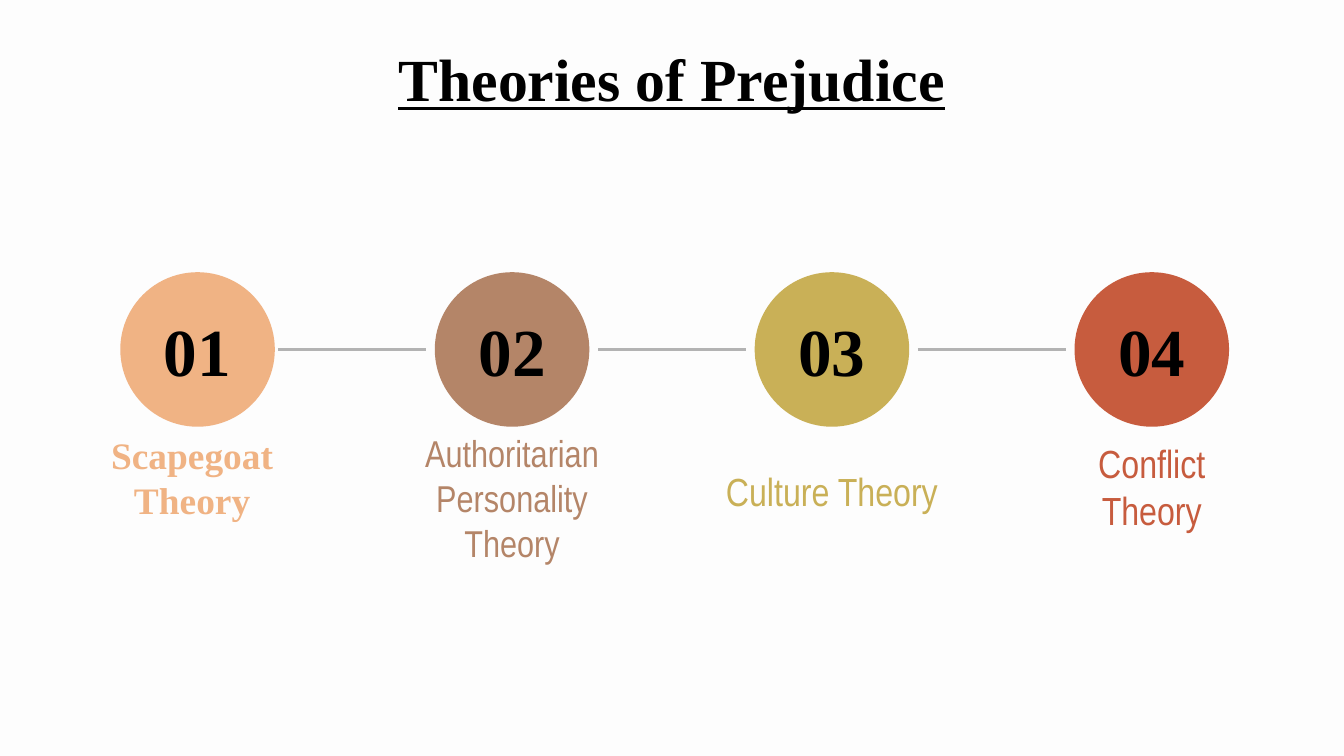
from dataclasses import dataclass

from lxml import etree
from pptx import Presentation
from pptx import util as u
from pptx.dml.color import RGBColor
from pptx.enum import shapes, text
from pptx.oxml.ns import qn

WIDTH = 10
HEIGHT = WIDTH * 9 / 16
FIRST_CENTRE, PITCH = 1.43, 2.38
AXIS, DIAMETER = 2.6, 1.15
LINK_START, LINK_LENGTH = 0.64, 1.1
SERIF, NARROW = "Times New Roman", "Arial Narrow"


@dataclass
class Theory:
    label: str
    colour: str
    label_middle: float
    label_width: float
    label_height: float
    size: int = 21
    font: str = NARROW
    bold: bool = False
    circle_shift: float = 0


THEORIES = [
    Theory("Scapegoat Theory", "F0B384", 3.55, 1.97, 0.65, 20, SERIF, True, 0.04),
    Theory("Authoritarian\nPersonality Theory", "B48568", 3.7, 1.81, 0.62, 20),
    Theory("Culture Theory", "C9B057", 3.65, 1.81, 0.45),
    Theory("Conflict Theory", "C75C3E", 3.62, 1.31, 0.45),
]


def colour(value: str) -> RGBColor:
    return RGBColor.from_string(value)


def box(centre: float, middle: float, width: float, height: float) -> tuple:
    return tuple(u.Inches(n) for n in
                 (centre - width / 2, middle - height / 2, width, height))


def write(holder, words: str, size: int, font: str, ink: str,
          bold: bool = False, underline: bool = False) -> None:
    frame = holder.text_frame
    frame.text = words
    frame.word_wrap = True
    frame.auto_size = text.MSO_AUTO_SIZE.NONE
    frame.vertical_anchor = text.MSO_ANCHOR.MIDDLE
    frame.margin_left = frame.margin_right = u.Inches(0.1)
    frame.margin_top = frame.margin_bottom = u.Inches(0.1)
    for paragraph in frame.paragraphs:
        paragraph.alignment = text.PP_ALIGN.CENTER
        for run in paragraph.runs:
            run.font.name, run.font.size = font, u.Pt(size)
            run.font.bold, run.font.underline = bold, underline
            run.font.color.rgb = colour(ink)


def draw_link(slide, start: float) -> None:
    link = slide.shapes.add_connector(
        shapes.MSO_CONNECTOR.STRAIGHT, u.Inches(start), u.Inches(AXIS),
        u.Inches(start + LINK_LENGTH), u.Inches(AXIS))
    link.line.color.rgb = colour("B3B3B3")
    link.line.width = u.Pt(1.5)
    etree.SubElement(link._element.spPr, qn("a:effectLst"))


def draw_theory(slide, number: int, theory: Theory, centre: float) -> None:
    circle = slide.shapes.add_shape(
        shapes.MSO_SHAPE.OVAL,
        *box(centre + theory.circle_shift, AXIS, DIAMETER, DIAMETER))
    circle.shadow.inherit = False
    circle.fill.solid()
    circle.fill.fore_color.rgb = colour(theory.colour)
    circle.line.fill.background()
    write(circle, f"{number:02}", 36, SERIF, "000000", bold=True)
    label = slide.shapes.add_textbox(
        *box(centre, theory.label_middle, theory.label_width, theory.label_height))
    write(label, theory.label, theory.size, theory.font, theory.colour, theory.bold)


def main() -> None:
    deck = Presentation()
    deck.slide_width, deck.slide_height = u.Inches(WIDTH), u.Inches(HEIGHT)
    slide = deck.slides.add_slide(deck.slide_layouts[5])
    slide.background.fill.solid()
    slide.background.fill.fore_color.rgb = colour("FDFDFD")

    title = slide.shapes.title
    title.left, title.top, title.width, title.height = box(WIDTH / 2, 0.58, 8.9, 0.12)
    write(title, "Theories of Prejudice", 32, SERIF, "000000", bold=True, underline=True)

    centres = [FIRST_CENTRE + PITCH * column for column in range(len(THEORIES))]
    for centre in centres[:-1]:
        draw_link(slide, centre + LINK_START)
    for number, (theory, centre) in enumerate(zip(THEORIES, centres), start=1):
        draw_theory(slide, number, theory, centre)
    deck.save("out.pptx")


if __name__ == "__main__":
    main()
